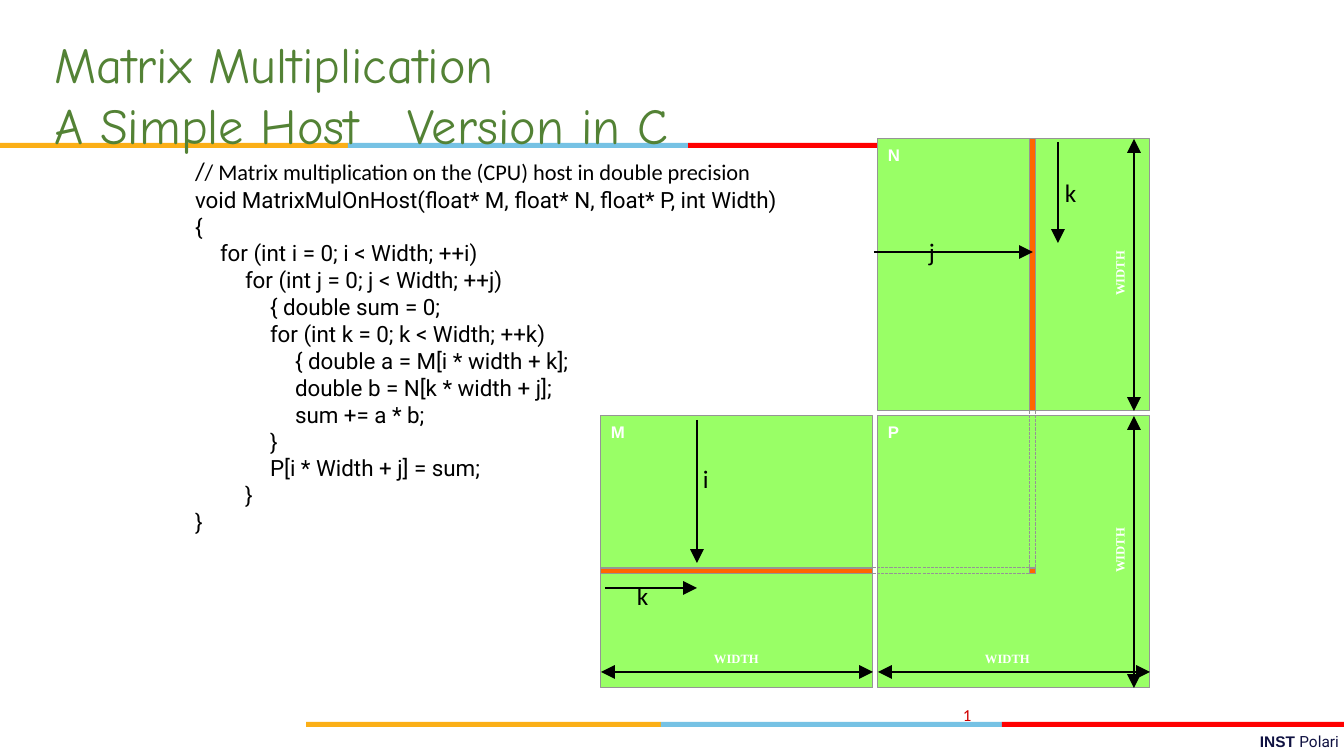
from pptx import Presentation
from pptx.dml.color import RGBColor
from pptx.enum.dml import MSO_LINE
from pptx.enum.shapes import MSO_CONNECTOR, MSO_SHAPE
from pptx.enum.text import PP_ALIGN
from pptx.oxml.ns import qn
from pptx.util import Pt
from lxml import etree

RECT, STRAIGHT = MSO_SHAPE.RECTANGLE, MSO_CONNECTOR.STRAIGHT
DASH, RIGHT = MSO_LINE.SQUARE_DOT, PP_ALIGN.RIGHT
C = {"yellow": "FBAF17", "blue": "76C2E4", "red": "FF0000", "title": "538235",
     "matrix": "99FF66", "strip": "FF6600", "grey": "959595", "black": "000000",
     "white": "FFFFFF", "page": "CF0000", "navy": "0F1141"}

BARS = [(143, [0, 348, 688, 879]), (722, [306, 661, 1002, 1344])]
TITLE = [("Matrix Multiplication", 33), ("A Simple Host\tVersion in C", 94)]
CODE = [
    (0, "void MatrixMulOnHost(float* M, float* N, float* P, int Width)"),
    (0, "{"),
    (1, "for (int i = 0; i < Width; ++i)"),
    (2, "for (int j = 0; j < Width; ++j)"),
    (3, "{ double sum = 0;"),
    (3, "for (int k = 0; k < Width; ++k)"),
    (4, "{ double a = M[i * width + k];"),
    (4, "double b = N[k * width + j];"),
    (4, "sum += a * b;"),
    (3, "}"),
    (3, "P[i * Width + j] = sum;"),
    (2, "}"),
    (0, "}"),
]
COMMENT = "/ Matrix multiplication on the (CPU) host in double precision"
SIDE, STRIDE, OFFSET, STRIP = 272, 277, 152, 6
LEFT, TOP = 601, 139
MATRICES = {"M": (0, 1), "N": (1, 0), "P": (1, 1)}
INDEX_ARROWS = [(697, 420, 697, 563), (605, 588, 697, 588),
                (1058, 142, 1058, 243), (874, 252, 1033, 252)]
INDEX_LABELS = [("i", 703, 463), ("k", 637, 580), ("k", 1065, 177), ("j", 929, 236)]

SCALE = 914400 / 100.8


def px(n):
    return round(n * SCALE)


def color(name):
    return RGBColor.from_string(C[name])


prs = Presentation()
prs.slide_width, prs.slide_height = px(1344), px(756)
s = prs.slides.add_slide(prs.slide_layouts[6])


def add_run(p, text, size, font, fill, bold=False):
    r = p.add_run()
    r.text = text
    r.font.size, r.font.name, r.font.bold = Pt(size), font, bold
    r.font.color.rgb = color(fill)


def add_text(text, x, y, w=60, h=24, size=16, font="Calibri", fill="black",
             bold=False, align=None, vert=None):
    tb = s.shapes.add_textbox(px(x), px(y), px(w), px(h))
    tf = tb.text_frame
    tf.word_wrap = True
    tf.margin_left = tf.margin_right = tf.margin_top = tf.margin_bottom = 0
    if vert:
        tf._txBody.bodyPr.set("vert", vert)
    p = tf.paragraphs[0]
    p.alignment = align
    add_run(p, text, size, font, fill, bold)
    return tf


def add_box(x, y, w, h, fill, line=None):
    sp = s.shapes.add_shape(RECT, px(x), px(y), px(w), px(h))
    sp.shadow.inherit = False
    sp.fill.solid()
    sp.fill.fore_color.rgb = color(fill)
    if line:
        sp.line.color.rgb = color(line)
        sp.line.width = Pt(0.75)
    else:
        sp.line.fill.background()


def add_line(x1, y1, x2, y2, fill="black", width=1.25, dash=None, ends=("tailEnd",)):
    c = s.shapes.add_connector(STRAIGHT, px(x1), px(y1), px(x2), px(y2))
    c.line.color.rgb = color(fill)
    c.line.width = Pt(width)
    if dash:
        c.line.dash_style = dash
    ln = c.line._get_or_add_ln()
    for end in ends:
        etree.SubElement(ln, qn("a:" + end), type="triangle", w="lg", len="lg")
    etree.SubElement(c._element.spPr, qn("a:effectLst"))


for y, stops in BARS:
    for x1, x2, fill in zip(stops, stops[1:], ("yellow", "blue", "red")):
        add_box(x1, y, x2 - x1, 5, fill)

for text, y in TITLE:
    tf = add_text(text, 54, y, 700, 62, size=36, font="Comic Neue", fill="title")
    if "\t" in text:
        tabs = etree.SubElement(tf.paragraphs[0]._p.get_or_add_pPr(), qn("a:tabLst"))
        etree.SubElement(tabs, qn("a:tab"), pos=str(px(354)), algn="l")

for name, (col, row) in MATRICES.items():
    x, y = LEFT + col * STRIDE, TOP + row * STRIDE
    add_box(x, y, SIDE, SIDE, "matrix", "grey")
    add_text(name, x + 10, y + 6, size=12, font="Arial", fill="white", bold=True)

mid_x, mid_y = LEFT + STRIDE + OFFSET, TOP + STRIDE + OFFSET
for x, y, w, h in [(mid_x, TOP, STRIP, SIDE), (LEFT, mid_y, SIDE, STRIP),
                   (mid_x, mid_y, STRIP, STRIP)]:
    add_box(x, y, w, h, "strip", "grey")
for d in (0, STRIP):
    for ends in [(mid_x + d, TOP + SIDE, mid_x + d, mid_y),
                 (LEFT + SIDE, mid_y + d, mid_x, mid_y + d)]:
        add_line(*ends, fill="grey", width=0.75, dash=DASH, ends=())

BOTH = ("headEnd", "tailEnd")
WIDTH_FORMAT = dict(size=9, font="Times New Roman", fill="white", bold=True)
for i, label_x in enumerate((714, 985)):
    x, y = LEFT + i * STRIDE, TOP + i * STRIDE
    add_line(x, 672, x + SIDE, 672, ends=BOTH)
    add_line(1134, y, 1134, y + SIDE, ends=BOTH)
    add_text("WIDTH", label_x, 651, h=18, **WIDTH_FORMAT)
    add_text("WIDTH", 1112, y + 97, w=17, h=60, vert="vert270", **WIDTH_FORMAT)

code = add_text("/", 195, 159, 640, 377, size=18)
add_run(code.paragraphs[0], COMMENT, 16, "Calibri", "black")
for level, text in CODE:
    p = code.add_paragraph()
    p._p.get_or_add_pPr().set("marL", str(px(25 * level)))
    add_run(p, text, 16, "Roboto", "black")
for p in code.paragraphs:
    p.line_spacing = Pt(19.2)

for arrow in INDEX_ARROWS:
    add_line(*arrow)
for text, x, y in INDEX_LABELS:
    add_text(text, x, y, w=20, h=31, size=18)

add_text("1", 963, 705, w=20, h=20, size=12, fill="page")
footer = add_text("INST ", 1219, 732, w=120, h=20, size=11, font="Arial",
                  fill="navy", bold=True, align=RIGHT)
add_run(footer.paragraphs[0], "Polari", 11, "Roboto", "navy")

prs.save("out.pptx")
